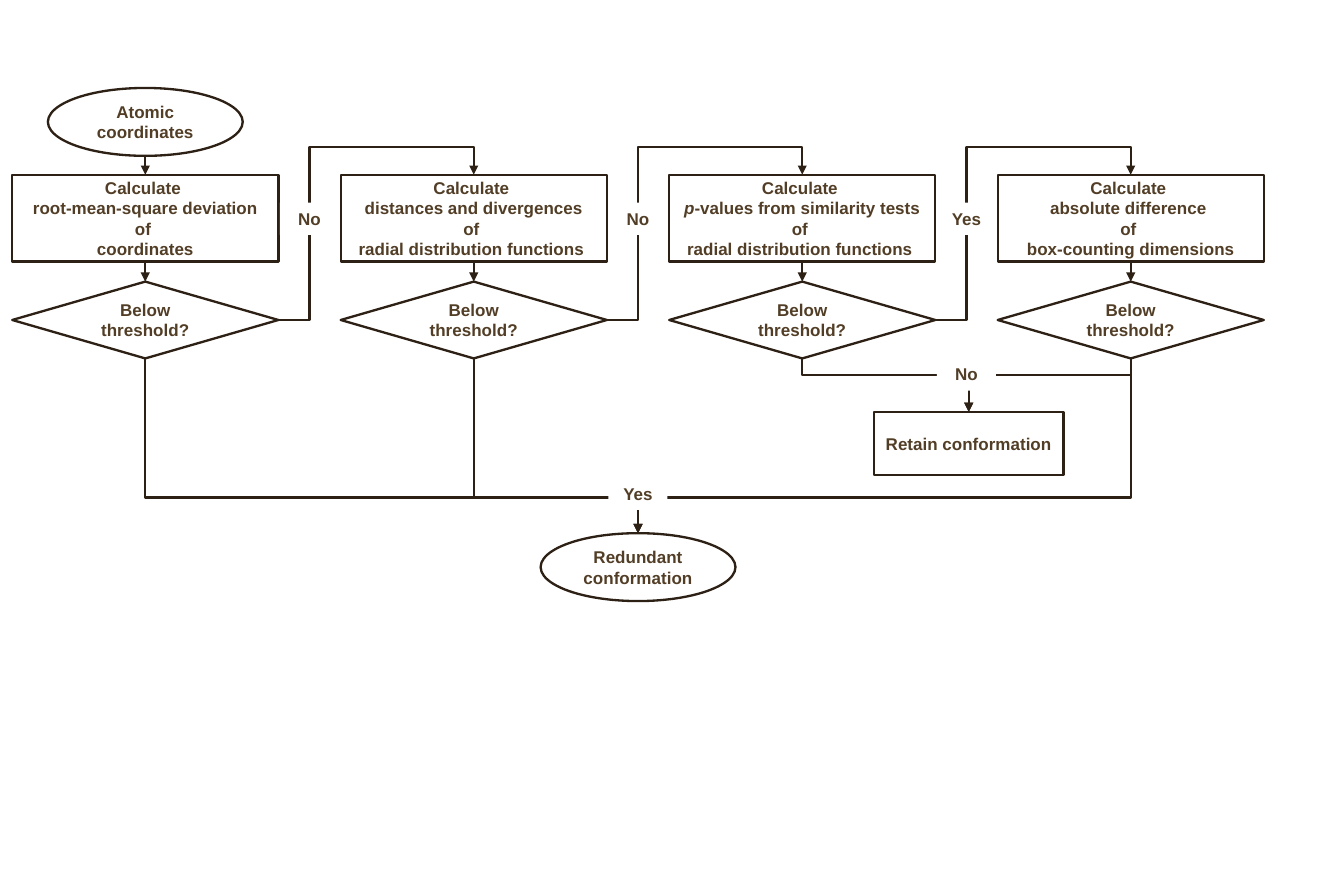
from lxml import etree
from pptx import Presentation
from pptx.dml.color import RGBColor
from pptx.enum.shapes import MSO_CONNECTOR as Link, MSO_SHAPE as Kind
from pptx.enum.text import MSO_ANCHOR as Anchor, PP_ALIGN as Align
from pptx.oxml.ns import qn
from pptx.util import Inches, Pt

COLORS = {"line": "2D2015", "text": "523E26", "fill": "FFFFFF"}
LEFT, PITCH, WIDE = 0.11, 2.95, 2.39
TOP, TALL = 1.57, 0.78
GATE_TOP, GATE_TALL = 2.53, 0.69
GAP = 0.28
LABEL_W, LABEL_H = 0.53, 0.29
OVAL_W, OVAL_H = 1.75, 0.61
KEEP_W, KEEP_H, KEEP_TOP = 1.7, 0.57, 3.7
START_TOP, END_TOP, NO_Y, YES_Y = 0.79, 4.79, 3.37, 4.47

# Each step is a list of lines; a line is a list of (text, italic) runs
STEPS = [
    [[("Calculate ", False)], [("root-mean-square deviation of ", False)],
     [("coordinates", False)]],
    [[("Calculate ", False)], [("distances and divergences", False)],
     [("of ", False)], [("radial distribution functions ", False)]],
    [[("Calculate ", False)],
     [("p", True), ("-values from similarity tests", False)],
     [("of ", False)], [("radial distribution functions ", False)]],
    [[("Calculate ", False)], [("absolute difference ", False)],
     [("of ", False)], [("box-counting dimensions", False)]],
]
EXITS = ["No", "No", "Yes"]


def color(name):
    return RGBColor.from_string(COLORS[name])


def write(frame, lines):
    frame.word_wrap = True
    for i, runs in enumerate(lines):
        para = frame.add_paragraph() if i else frame.paragraphs[0]
        para.alignment = Align.CENTER
        font = para.font
        font.name, font.size, font.bold = "Arial", Pt(11), True
        font.color.rgb = color("text")
        for text, slant in runs:
            run = para.add_run()
            run.text = text
            if slant:
                run.font.italic = True


def node(slide, kind, x, y, w, h, lines):
    shape = slide.shapes.add_shape(kind, *map(Inches, (x, y, w, h)))
    shape.shadow.inherit = False
    if kind == Kind.ROUNDED_RECTANGLE:
        shape.adjustments[0] = 0
    shape.fill.solid()
    shape.fill.fore_color.rgb = color("fill")
    shape.line.color.rgb = color("line")
    shape.line.width = Pt(1.5)
    shape.text_frame.vertical_anchor = Anchor.MIDDLE
    write(shape.text_frame, lines)


def label(slide, mid, y, text):
    box = slide.shapes.add_textbox(
        *map(Inches, (mid - LABEL_W / 2, y, LABEL_W, LABEL_H)))
    box.fill.solid()
    box.fill.fore_color.rgb = color("fill")
    write(box.text_frame, [[(text, False)]])


def arrow(slide, kind, x1, y1, x2, y2):
    link = slide.shapes.add_connector(kind, *map(Inches, (x1, y1, x2, y2)))
    link.line.color.rgb = color("line")
    link.line.width = Pt(1.5)
    props = link._element.spPr
    etree.SubElement(props.find(qn("a:ln")), qn("a:tailEnd"), type="triangle")
    etree.SubElement(props, qn("a:effectLst"))
    return props


def bend(props, *ratios):
    """Set the elbow positions as shares of the connector's size."""
    geom = props.find(qn("a:prstGeom"))
    geom.set("prst", f"bentConnector{len(ratios) + 2}")
    guides = geom.find(qn("a:avLst"))
    for i, ratio in enumerate(ratios, 1):
        etree.SubElement(guides, qn("a:gd"), name=f"adj{i}",
                         fmla=f"val {round(ratio * 100000)}")


def loop(slide, x1, y1, x2, y2):
    """Go right, up past the target, and down into it."""
    props = arrow(slide, Link.ELBOW, x1, y1, x2, y2)
    bend(props, GAP / (x2 - x1), 1 + 0.25 / (y1 - y2))


def drop(slide, x1, y1, x2, y2, turn):
    """Go down to the height of the turn, across, and down."""
    mid_x, mid_y = (x1 + x2) / 2, (y1 + y2) / 2
    half_w, half_h = (y2 - y1) / 2, abs(x2 - x1) / 2
    side = 1 if x1 > x2 else -1
    props = arrow(slide, Link.ELBOW, mid_x - side * half_w, mid_y - half_h,
                  mid_x + side * half_w, mid_y + half_h)
    angle = 90 if side == 1 else 270
    props.find(qn("a:xfrm")).set("rot", str(angle * 60000))
    bend(props, (turn - y1) / (y2 - y1))


def column(slide, x, lines):
    mid = x + WIDE / 2
    arrow(slide, Link.STRAIGHT, mid, TOP + TALL, mid, GATE_TOP)
    node(slide, Kind.ROUNDED_RECTANGLE, x, TOP, WIDE, TALL, lines)
    node(slide, Kind.DIAMOND, x, GATE_TOP, WIDE, GATE_TALL,
         [[("Below threshold?", False)]])


def flow(slide):
    lefts = [LEFT + i * PITCH for i in range(len(STEPS))]
    mids = [x + WIDE / 2 for x in lefts]
    exits = [x + WIDE + GAP for x in lefts]
    foot = GATE_TOP + GATE_TALL

    node(slide, Kind.OVAL, mids[0] - OVAL_W / 2, START_TOP, OVAL_W, OVAL_H,
         [[("Atomic coordinates", False)]])
    arrow(slide, Link.STRAIGHT, mids[0], START_TOP + OVAL_H, mids[0], TOP)
    for x, lines in zip(lefts, STEPS):
        column(slide, x, lines)

    for i, text in enumerate(EXITS):
        loop(slide, lefts[i] + WIDE, GATE_TOP + GATE_TALL / 2, mids[i + 1], TOP)
        label(slide, exits[i], 1.82, text)

    keep, end = exits[2] + 0.02, exits[1]
    node(slide, Kind.ROUNDED_RECTANGLE, keep - KEEP_W / 2, KEEP_TOP,
         KEEP_W, KEEP_H, [[("Retain conformation", False)]])
    node(slide, Kind.OVAL, end - OVAL_W / 2, END_TOP, OVAL_W, OVAL_H,
         [[("Redundant conformation", False)]])
    for i in (2, 3):
        drop(slide, mids[i], foot, keep, KEEP_TOP, NO_Y)
    for i in (0, 1, 3):
        drop(slide, mids[i], foot, end, END_TOP, YES_Y)
    label(slide, exits[2], 3.22, "No")
    label(slide, end, 4.29, "Yes")


def main():
    deck = Presentation()
    deck.slide_width, deck.slide_height = Inches(12.07), Inches(7.87)
    flow(deck.slides.add_slide(deck.slide_layouts[6]))
    deck.save("out.pptx")


if __name__ == "__main__":
    main()
